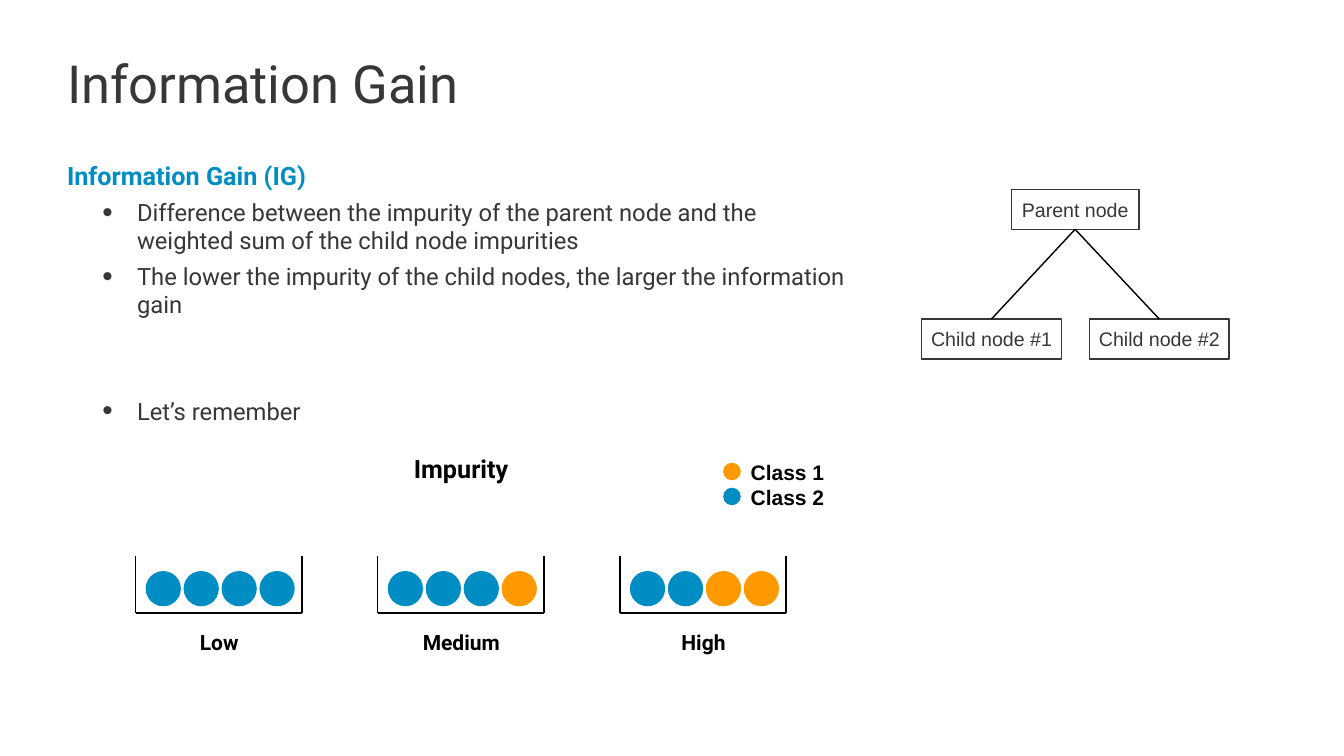
from lxml import etree
from pptx import Presentation
from pptx.dml.color import RGBColor
from pptx.enum.shapes import MSO_CONNECTOR, MSO_SHAPE
from pptx.enum.text import MSO_ANCHOR, MSO_AUTO_SIZE, PP_ALIGN
from pptx.oxml.ns import qn
from pptx.util import Inches, Pt

RECT, OVAL, LINE = MSO_SHAPE.RECTANGLE, MSO_SHAPE.OVAL, MSO_CONNECTOR.STRAIGHT
TOP, MIDDLE = MSO_ANCHOR.TOP, MSO_ANCHOR.MIDDLE
LEFT, CENTER = PP_ALIGN.LEFT, PP_ALIGN.CENTER
GRAY, BLUE, GOLD, BLACK = "373737", "008DC4", "FF9900", "000000"

# Content
TITLE = "Information Gain"
HEAD = "Information Gain (IG)"
POINTS = [  # text, space before in points
    ("Difference between the impurity of the parent node and the "
     "weighted sum of the child node impurities", 10),
    ("The lower the impurity of the child nodes, the larger the "
     "information gain", 10),
    ("Let’s remember", 111),
]
PARENT = ("Parent node", 20.07, 3.76, 2.53)
CHILDREN = [("Child node #1", 18.29, 6.33, 2.77),
            ("Child node #2", 21.62, 6.33, 2.77)]
NODE_H = 0.79
BINS = [("Low", [BLUE] * 4),
        ("Medium", [BLUE] * 3 + [GOLD]),
        ("High", [BLUE] * 2 + [GOLD] * 2)]
LEGEND = [("Class 1", GOLD), ("Class 2", BLUE)]


def color(code):
    return RGBColor.from_string(code)


def place(shape, x, y, w, h):
    shape.left, shape.top = Inches(x), Inches(y)
    shape.width, shape.height = Inches(w), Inches(h)


def set_frame(shape, anchor=MIDDLE, wrap=True):
    frame = shape.text_frame
    frame.word_wrap, frame.auto_size = wrap, MSO_AUTO_SIZE.NONE
    frame.vertical_anchor = anchor
    frame.margin_left = frame.margin_right = Inches(0.06)
    frame.margin_top = frame.margin_bottom = Inches(0.06)
    return frame


def style(para, size, code, face="Roboto", bold=False, align=LEFT):
    para.alignment = align
    font = para.font
    font.size, font.name, font.bold = Pt(size), face, bold
    font.color.rgb = color(code)


def set_bullet(para, char=None):
    props = para._p.get_or_add_pPr()
    if char is None:
        props.set("marL", "0")
        props.set("indent", "0")
        etree.SubElement(props, qn("a:buNone"))
        return
    props.set("marL", str(Inches(1.39)))
    props.set("indent", str(Inches(-0.69)))
    etree.SubElement(props, qn("a:buSzPct"), val="125000")
    etree.SubElement(props, qn("a:buChar"), char=char)


def add_label(shapes, text, x, y, w, h, size, face="Roboto"):
    box = shapes.add_textbox(0, 0, 0, 0)
    place(box, x, y, w, h)
    frame = set_frame(box)
    frame.text = text
    style(frame.paragraphs[0], size, BLACK, face, True, CENTER)


def add_line(shapes, x1, y1, x2, y2):
    line = shapes.add_connector(LINE, Inches(x1), Inches(y1),
                                Inches(x2), Inches(y2))
    line.line.color.rgb, line.line.width = color(BLACK), Pt(2)
    etree.SubElement(line._element.spPr, qn("a:effectLst"))


def add_ball(shapes, x, y, size, code):
    ball = shapes.add_shape(OVAL, Inches(x), Inches(y),
                            Inches(size), Inches(size))
    ball.shadow.inherit = False
    ball.fill.solid()
    ball.fill.fore_color.rgb = color(code)
    ball.line.fill.background()


def add_node(shapes, text, x, y, w):
    node = shapes.add_shape(RECT, Inches(x), Inches(y),
                            Inches(w), Inches(NODE_H))
    node.shadow.inherit = False
    node.fill.background()
    node.line.color.rgb, node.line.width = color(GRAY), Pt(2)
    frame = set_frame(node, wrap=False)
    frame.text = text
    style(frame.paragraphs[0], 28, GRAY, "Arial", align=CENTER)


def add_text(slide):
    title, body = slide.placeholders
    place(title, 1.27, 0.39, 24.79, 2.5)
    frame = set_frame(title)
    frame.text = TITLE
    style(frame.paragraphs[0], 75, GRAY)

    place(body, 1.27, 3.12, 15.73, 9.69)
    frame = set_frame(body, TOP)
    frame.text = HEAD
    head = frame.paragraphs[0]
    set_bullet(head)
    head.space_before = Pt(0)
    style(head, 36, BLUE, bold=True)
    for text, gap in POINTS:
        para = frame.add_paragraph()
        para.text, para.level = text, 1
        set_bullet(para, "•")
        para.space_before = Pt(gap)
        style(para, 34, GRAY)


def add_tree(shapes):
    _, x, y, w = PARENT
    add_node(shapes, *PARENT)
    for child in CHILDREN:
        add_node(shapes, *child)
        _, left, top, wide = child
        add_line(shapes, x + w / 2, y + NODE_H, left + wide / 2, top)


def add_bins(shapes):
    add_label(shapes, "Impurity", 7.04, 8.94, 4.22, 0.72, 36)
    top, base, wide = 11.03, 12.16, 3.3
    for i, (name, balls) in enumerate(BINS):
        x = 2.69 + 4.805 * i
        add_line(shapes, x, base, x + wide, base)
        for side in (x, x + wide):
            add_line(shapes, side, base, side, top)
        for j, code in enumerate(balls):
            add_ball(shapes, x + 0.2 + 0.753 * j, 11.33, 0.7, code)
        add_label(shapes, name, x + 0.59, 12.42, 2.14, 0.62, 30)
    # Legend
    for i, (name, code) in enumerate(LEGEND):
        y = 9.05 + 0.495 * i
        add_ball(shapes, 14.35, y + 0.13, 0.35, code)
        add_label(shapes, name, 14.7, y, 1.85, 0.62, 30, "Arial")


def main():
    deck = Presentation()
    deck.slide_width, deck.slide_height = Inches(26.67), Inches(15)
    slide = deck.slides.add_slide(deck.slide_layouts[1])
    add_text(slide)
    add_tree(slide.shapes)
    add_bins(slide.shapes.add_group_shape().shapes)
    deck.save("out.pptx")


if __name__ == "__main__":
    main()
